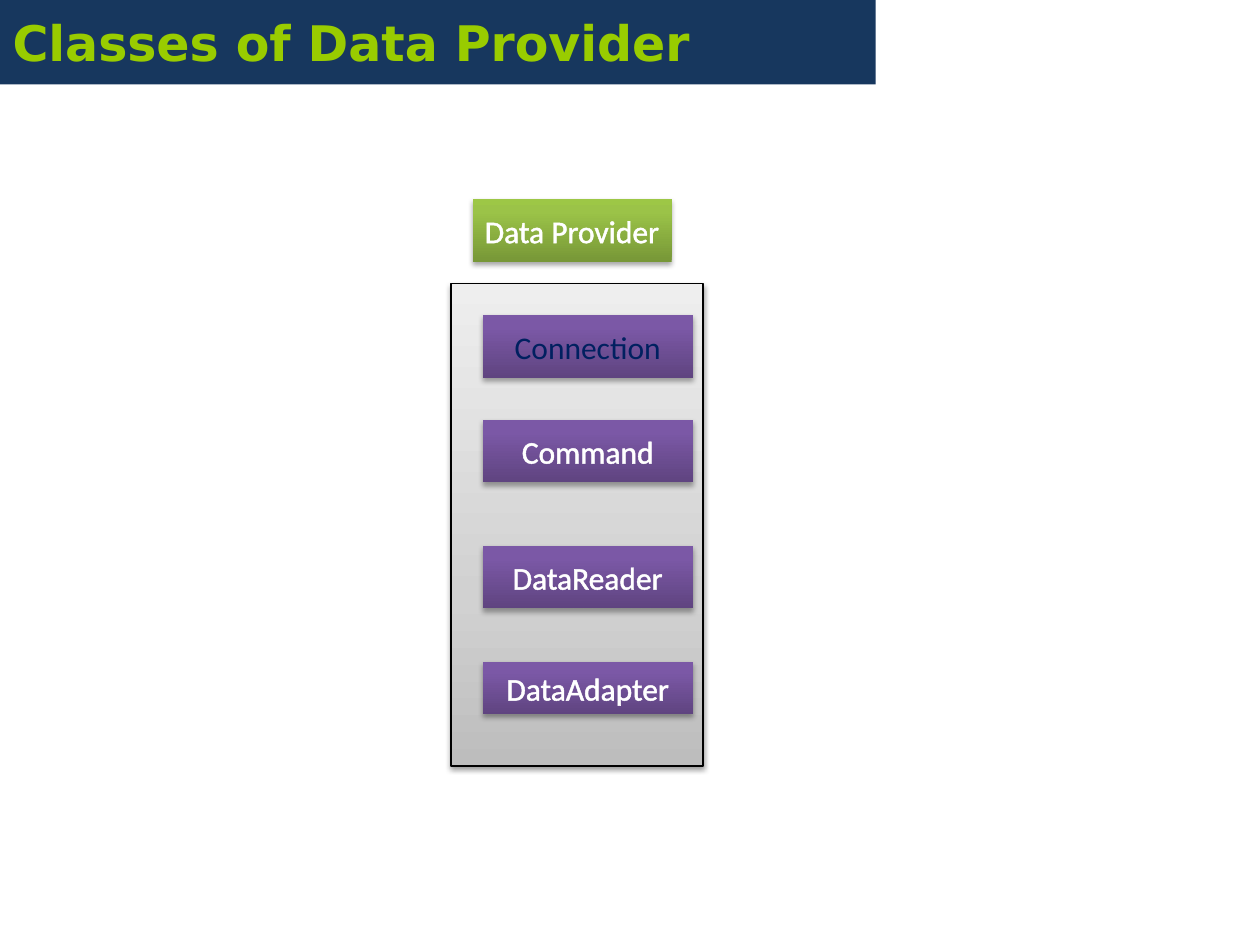
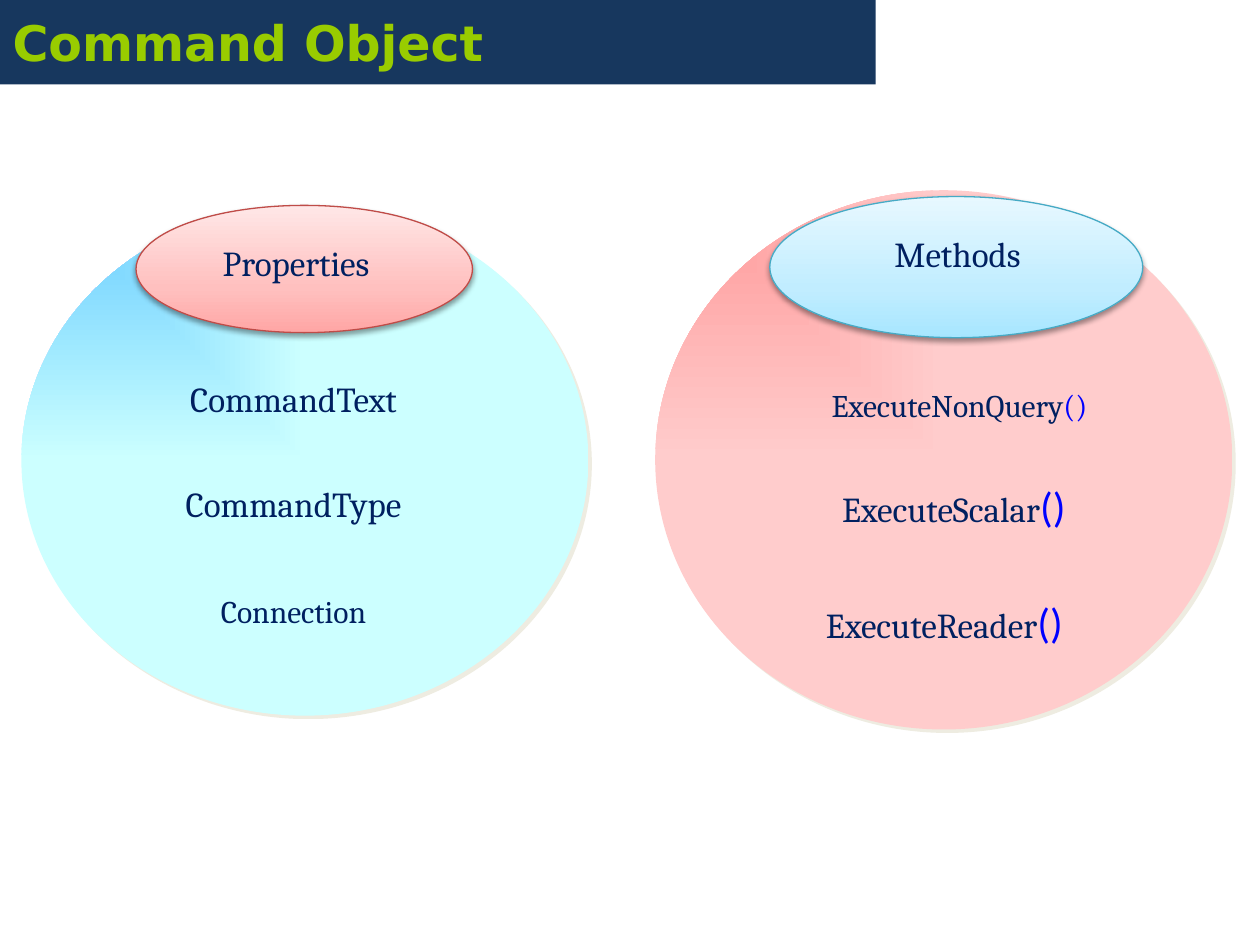
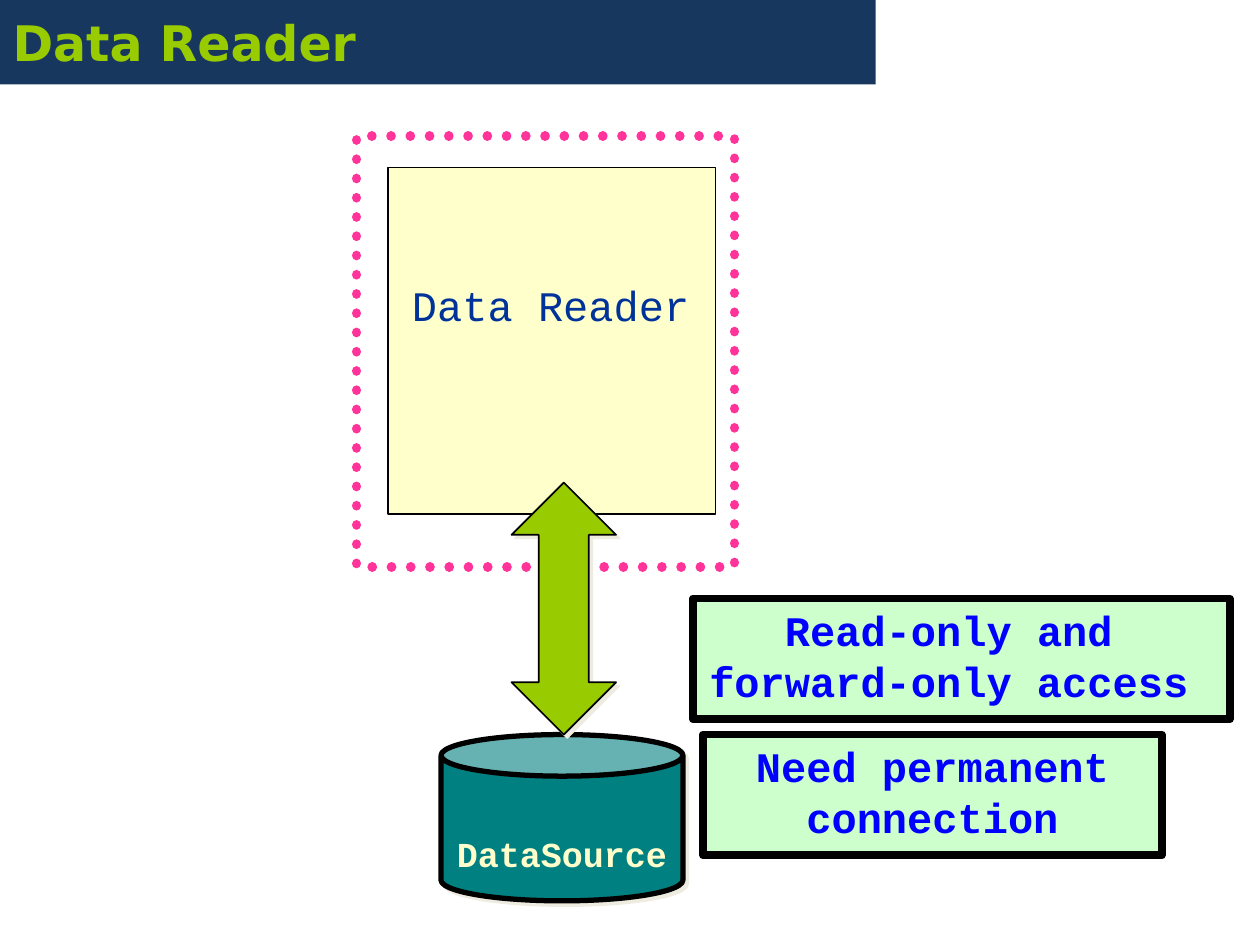
from lxml.etree import SubElement
from pptx import Presentation
from pptx.dml.color import RGBColor
from pptx.enum.dml import MSO_LINE
from pptx.enum.shapes import MSO_SHAPE
from pptx.enum.text import MSO_ANCHOR, MSO_AUTO_SIZE, PP_ALIGN
from pptx.oxml.ns import qn
from pptx.util import Inches, Pt

COLORS = {
    "band": "17375E", "lime": "99CC00", "black": "000000", "white": "FFFFFF",
    "navy": "002060", "blue": "0000FF", "royal": "003399", "cream": "FFFFCC",
    "teal": "008080", "pink": "FF3399", "mint": "CCFFCC", "sand": "EEECE1",
    "red_line": "BF4C48", "aqua_line": "46AAC5",
}

# Gradient stops: position in percent, colour
GRADIENTS = {
    "gray": [(0, "BDBDBD"), (35, "D1D1D1"), (100, "EEEEEE")],
    "green": [(0, "779737"), (80, "9BC348"), (100, "9DC746")],
    "purple": [(0, "5F4480"), (80, "7B58A6"), (100, "7C57A8")],
    "red": [(0, "FFA6A5"), (35, "FFC0BF"), (100, "FFE7E7")],
    "aqua": [(0, "A7E6FF"), (35, "C1EDFF"), (100, "E7F8FF")],
    "rose_corner": [(0, "FF9999"), (100, "FFCCCC")],
    "sky_corner": [(0, "66CCFF"), (100, "CCFFFF")],
}

# Shadows: colour, opacity percent, blur, distance, angle in degrees
SHADOWS = {
    "panel": ("black", 38, 3.1, 1.6, 90),
    "box": ("black", 35, 3.1, 1.8, 90),
    "sand": ("sand", 100, 0, 2.8, 45),
}


def rgb(name):
    """Return the named colour."""
    return RGBColor.from_string(COLORS[name])


def add_color(parent, value):
    """Add a hex colour element below parent."""
    return SubElement(parent, qn("a:srgbClr"), val=value)


def set_gradient(shape, name):
    """Fill a shape with a vertical or a corner gradient."""
    geometry = shape._element.spPr.find(qn("a:prstGeom"))
    fill = SubElement(shape._element.spPr, qn("a:gradFill"), rotWithShape="1")
    geometry.addnext(fill)
    stops = SubElement(fill, qn("a:gsLst"))
    for position, value in GRADIENTS[name]:
        add_color(SubElement(stops, qn("a:gs"), pos=str(position * 1000)), value)
    if name.endswith("corner"):
        corner = SubElement(fill, qn("a:path"))
        corner.set("path", "rect")
        SubElement(corner, qn("a:fillToRect"), r="100000", b="100000")
    else:
        SubElement(fill, qn("a:lin"), ang=str(270 * 60000), scaled="0")


def set_shadow(shape, name):
    """Replace the theme shadow by a named one, or by none."""
    shape.shadow.inherit = False
    if name is None:
        return
    color, opacity, blur, distance, angle = SHADOWS[name]
    effects = shape._element.spPr.find(qn("a:effectLst"))
    outer = SubElement(effects, qn("a:outerShdw"), blurRad=str(Pt(blur)),
                       dist=str(Pt(distance)), dir=str(angle * 60000),
                       algn="ctr", rotWithShape="0")
    SubElement(add_color(outer, COLORS[color]), qn("a:alpha"), val=str(opacity * 1000))


def add_shape(slide, kind, box, fill=None, line=None, width=0.75, shadow=None):
    """Add a preset shape with a plain, gradient or empty fill."""
    shape = slide.shapes.add_shape(kind, *map(Inches, box))
    if fill in GRADIENTS:
        set_gradient(shape, fill)
    elif fill:
        shape.fill.solid()
        shape.fill.fore_color.rgb = rgb(fill)
    else:
        shape.fill.background()
    if line:
        shape.line.color.rgb = rgb(line)
        shape.line.width = Pt(width)
    else:
        shape.line.fill.background()
    set_shadow(shape, shadow)
    return shape


def add_run(paragraph, text, size, font, color, bold=False):
    """Add one formatted run to a paragraph."""
    run = paragraph.add_run()
    run.text = text
    run.font.size = Pt(size)
    run.font.name = font
    run.font.bold = bold
    run.font.color.rgb = rgb(color)
    return run


def write(shape, paragraphs, anchor=MSO_ANCHOR.MIDDLE, wrap=True, align=PP_ALIGN.CENTER):
    """Write paragraphs, each a list of run arguments; return the runs."""
    frame = shape.text_frame
    frame.word_wrap = wrap
    frame.auto_size = MSO_AUTO_SIZE.NONE
    frame.vertical_anchor = anchor
    runs = []
    for index, parts in enumerate(paragraphs):
        paragraph = frame.add_paragraph() if index else frame.paragraphs[0]
        paragraph.alignment = align
        runs += [add_run(paragraph, *part) for part in parts]
    return runs


def add_text(slide, box, paragraphs, **options):
    """Add a text box."""
    write(slide.shapes.add_textbox(*map(Inches, box)), paragraphs, **options)


def add_titled_slide(presentation, text):
    """Add a slide whose title is a dark band at the top left."""
    slide = presentation.slides.add_slide(presentation.slide_layouts[5])
    title = slide.shapes.title
    title.left, title.top, title.width, title.height = map(Inches, (0, 0, 6.95, 0.67))
    title.fill.solid()
    title.fill.fore_color.rgb = rgb("band")
    write(title, [[(text, 28, "DejaVu Sans", "lime", True)]], align=PP_ALIGN.LEFT)
    return slide


def add_class_box(slide, box, text, fill, color="white"):
    """Add a glossy box with outlined text."""
    shape = add_shape(slide, MSO_SHAPE.RECTANGLE, box, fill, shadow="box")
    for run in write(shape, [[(text, 18, "Calibri", color)]], wrap=False):
        outline = SubElement(run.font._element, qn("a:ln"), w=str(Pt(1.45)))
        run.font._element.insert(0, outline)
        add_color(SubElement(outline, qn("a:solidFill")), COLORS["white"])


def add_member(slide, box, name, size=20, call=None):
    """Add a member name, with call brackets as (size, font) if it is a method."""
    runs = [(name, size, "Cambria", "navy")]
    if call:
        runs.append(("()", *call, "blue"))
    add_text(slide, box, [runs], anchor=MSO_ANCHOR.BOTTOM)


def build_provider_slide(presentation):
    """Data provider and its four classes."""
    slide = add_titled_slide(presentation, "Classes of Data Provider")
    add_shape(slide, MSO_SHAPE.RECTANGLE, (3.58, 2.25, 2, 3.83), "gray", "black", shadow="panel")
    add_class_box(slide, (3.75, 1.58, 1.58, 0.5), "Data Provider", "green")
    for name, top, height, color in [
        ("Connection", 2.5, 0.5, "navy"),
        ("Command", 3.33, 0.5, "white"),
        ("DataReader", 4.33, 0.5, "white"),
        ("DataAdapter", 5.25, 0.42, "white"),
    ]:
        add_class_box(slide, (3.83, top, 1.67, height), name, "purple", color)


def build_command_slide(presentation):
    """Properties and methods of the command object."""
    slide = add_titled_slide(presentation, "Command Object")
    for disc, disc_fill, cap, cap_fill, cap_line in [
        ((5.2, 1.51, 4.58, 4.28), "rose_corner", (6.11, 1.56, 2.96, 1.12), "aqua", "aqua_line"),
        ((0.17, 1.63, 4.5, 4.05), "sky_corner", (1.08, 1.63, 2.67, 1.01), "red", "red_line"),
    ]:
        add_shape(slide, MSO_SHAPE.OVAL, disc, disc_fill, shadow="sand")
        add_shape(slide, MSO_SHAPE.OVAL, cap, cap_fill, cap_line, shadow="panel")

    add_member(slide, (6.25, 1.73, 2.7, 0.5), "Methods")
    add_member(slide, (6.03, 2.93, 3.17, 0.48), "ExecuteNonQuery", 18, (18, "Cambria"))
    add_member(slide, (5.86, 3.78, 3.42, 0.48), "ExecuteScalar", call=(24, "Calibri"))
    add_member(slide, (6.2, 4.7, 2.59, 0.48), "ExecuteReader", call=(24, "Calibri"))

    add_member(slide, (1.45, 1.97, 1.8, 0.33), "Properties")
    for row, (name, size) in enumerate(
            [("CommandText", 20), ("CommandType", 20), ("Connection", 18)]):
        add_member(slide, (0.83, 2.88 + row * 0.835, 3, 0.5), name, size)


def build_reader_slide(presentation):
    """Data reader linked to its data source."""
    slide = add_titled_slide(presentation, "Data Reader")
    code = "Courier New"
    add_shape(slide, MSO_SHAPE.RECTANGLE, (3.08, 1.33, 2.6, 2.75), "cream", "black", 1)

    source = add_shape(slide, MSO_SHAPE.CAN, (3.5, 5.83, 1.92, 1.32), "teal", "black", 3, "sand")
    write(source, [[("DataSource", 20, code, "cream", True)]])
    source.text_frame.margin_top = Inches(0.45)

    border = add_shape(slide, MSO_SHAPE.RECTANGLE, (2.83, 1.08, 3, 3.42), None, "pink", 5.5)
    border.line.dash_style = MSO_LINE.ROUND_DOT
    border._element.spPr.find(qn("a:ln")).set("cap", "rnd")

    arrow = add_shape(slide, MSO_SHAPE.UP_DOWN_ARROW, (4.06, 3.83, 0.83, 2),
                      "lime", "black", 1, "sand")
    arrow.adjustments[0] = 0.5
    arrow.adjustments[1] = 0.48

    add_text(slide, (3.17, 2.17, 2.4, 0.5), [[("Data Reader", 24, code, "royal")]],
             anchor=MSO_ANCHOR.TOP, wrap=False)
    for box, lines, wrap in [
        ((5.5, 4.75, 4.26, 0.96), ["Read-only and ", "forward-only access "], False),
        ((5.58, 5.83, 3.64, 0.96), ["Need permanent connection"], True),
    ]:
        note = add_shape(slide, MSO_SHAPE.RECTANGLE, box, "mint", "black", 4.5)
        write(note, [[(line, 24, code, "blue", True)] for line in lines],
              anchor=MSO_ANCHOR.TOP, wrap=wrap)


def main():
    """Build and save the presentation."""
    presentation = Presentation()
    presentation.slide_width = Inches(10)
    presentation.slide_height = Inches(7.5)
    build_provider_slide(presentation)
    build_command_slide(presentation)
    build_reader_slide(presentation)
    presentation.save("out.pptx")


main()
